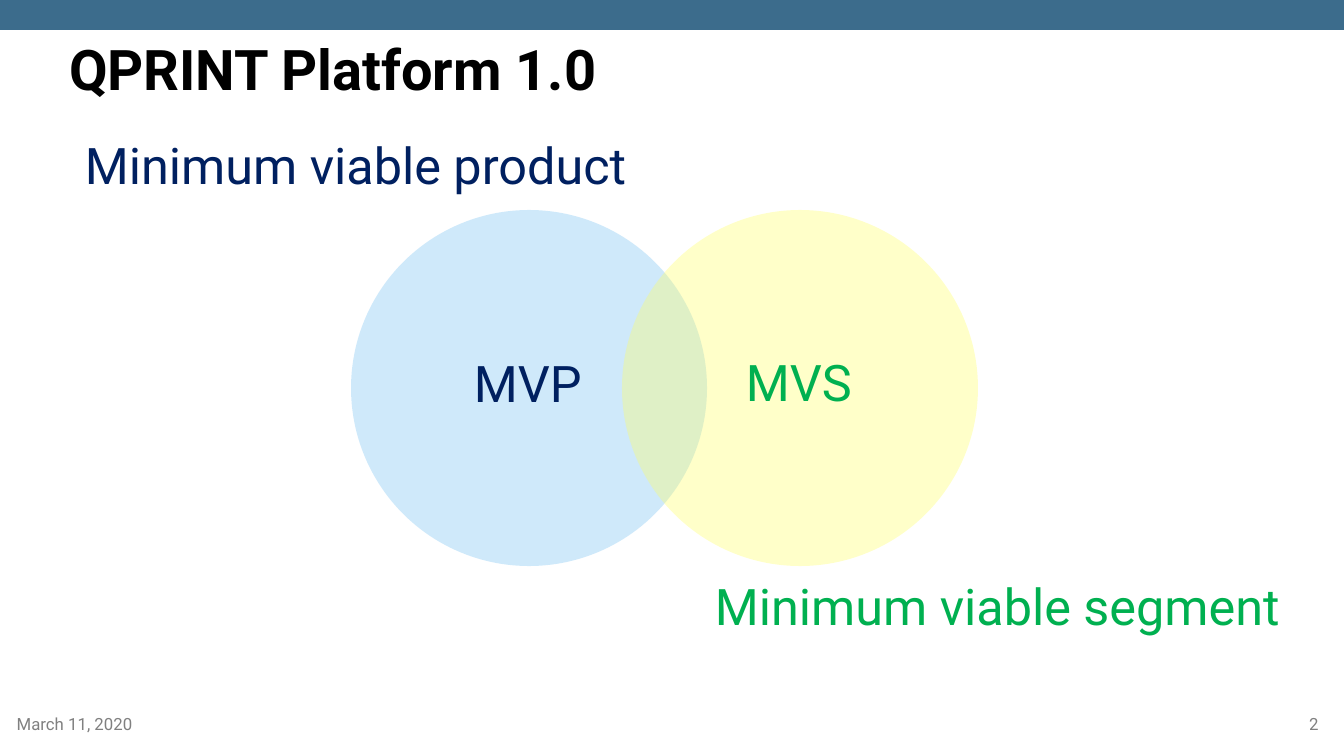
from dataclasses import dataclass

from lxml import etree
from pptx import Presentation
from pptx.dml.color import RGBColor
from pptx.enum.shapes import MSO_SHAPE
from pptx.enum.text import MSO_ANCHOR, MSO_AUTO_SIZE, PP_ALIGN
from pptx.oxml.ns import qn
from pptx.util import Emu, Pt

RECTANGLE, OVAL = MSO_SHAPE.RECTANGLE, MSO_SHAPE.OVAL
MIDDLE = MSO_ANCHOR.MIDDLE
FIT_SHAPE, NO_FIT = MSO_AUTO_SIZE.SHAPE_TO_FIT_TEXT, MSO_AUTO_SIZE.NONE
LEFT, CENTER = PP_ALIGN.LEFT, PP_ALIGN.CENTER
TITLE_ONLY = 5
EMU_PER_PX = 914400 / 100.8
SLIDE_WIDTH, SLIDE_HEIGHT = 1344, 756
CIRCLE_TOP, CIRCLE_SIZE = 210, 356
LABEL_HEIGHT = 72
FOOTER_TOP, FOOTER_HEIGHT = 714, 20


@dataclass(frozen=True)
class Theme:
    font: str = "Roboto"
    title_size: int = 40
    label_size: int = 36
    footer_size: int = 12
    band: str = "3C6C8C"
    title: str = "000000"
    footer: str = "808080"
    product: str = "002060"
    segment: str = "00B050"
    product_circle: str = "A0D4F6"
    segment_circle: str = "FFFF66"


def px(*lengths):
    return [Emu(round(length * EMU_PER_PX)) for length in lengths]


class SlideBuilder:
    def __init__(self, presentation, theme):
        self.theme = theme
        self.slide = presentation.slides.add_slide(presentation.slide_layouts[TITLE_ONLY])

    def set_text(self, shape, text, size, color, bold=False, alignment=LEFT):
        shape.text_frame.text = text
        paragraph = shape.text_frame.paragraphs[0]
        paragraph.alignment = alignment
        font = paragraph.runs[0].font
        font.name = self.theme.font
        font.size = Pt(size)
        font.bold = bold
        font.color.rgb = RGBColor.from_string(color)
        return paragraph

    def title(self, text, left, top, width, height):
        shape = self.slide.shapes.title
        shape.left, shape.top, shape.width, shape.height = px(left, top, width, height)
        shape.text_frame.vertical_anchor = MIDDLE
        shape.text_frame.auto_size = NO_FIT
        paragraph = self.set_text(shape, text, self.theme.title_size, self.theme.title, bold=True)
        paragraph.line_spacing = 0.9

    def filled_shape(self, kind, left, top, width, height, color, opacity=100):
        shape = self.slide.shapes.add_shape(kind, *px(left, top, width, height))
        shape.shadow.inherit = False
        shape.line.fill.background()
        shape.fill.solid()
        shape.fill.fore_color.rgb = RGBColor.from_string(color)
        if opacity < 100:
            fill_color = shape.element.spPr.find(qn("a:solidFill"))[0]
            etree.SubElement(fill_color, qn("a:alpha")).set("val", str(opacity * 1000))

    def circle(self, left, color, opacity):
        self.filled_shape(OVAL, left, CIRCLE_TOP, CIRCLE_SIZE, CIRCLE_SIZE, color, opacity)

    def label(self, text, left, top, width, color):
        box = self.slide.shapes.add_textbox(*px(left, top, width, LABEL_HEIGHT))
        box.text_frame.word_wrap = False
        box.text_frame.auto_size = FIT_SHAPE
        self.set_text(box, text, self.theme.label_size, color)

    def footer(self, text, left, width):
        box = self.slide.shapes.add_textbox(*px(left, FOOTER_TOP, width, FOOTER_HEIGHT))
        box.text_frame.word_wrap = True
        box.text_frame.vertical_anchor = MIDDLE
        self.set_text(box, text, self.theme.footer_size, self.theme.footer, alignment=CENTER)


def main():
    presentation = Presentation()
    presentation.slide_width, presentation.slide_height = px(SLIDE_WIDTH, SLIDE_HEIGHT)
    theme = Theme()
    builder = SlideBuilder(presentation, theme)

    builder.filled_shape(RECTANGLE, 0, 0, SLIDE_WIDTH, 30, theme.band)
    builder.title("QPRINT Platform 1.0", 59, 30, 1225, 84)
    builder.footer("March 11, 2020", 0, 149)
    builder.footer("2", 1284, 60)

    builder.circle(351, theme.product_circle, 50)
    builder.circle(622, theme.segment_circle, 35)
    builder.label("MVP", 464, 347, 129, theme.product)
    builder.label("MVS", 736, 346, 127, theme.segment)
    builder.label("Minimum viable product", 75, 129, 568, theme.product)
    builder.label("Minimum viable segment", 705, 570, 608, theme.segment)

    presentation.save("out.pptx")


if __name__ == "__main__":
    main()
